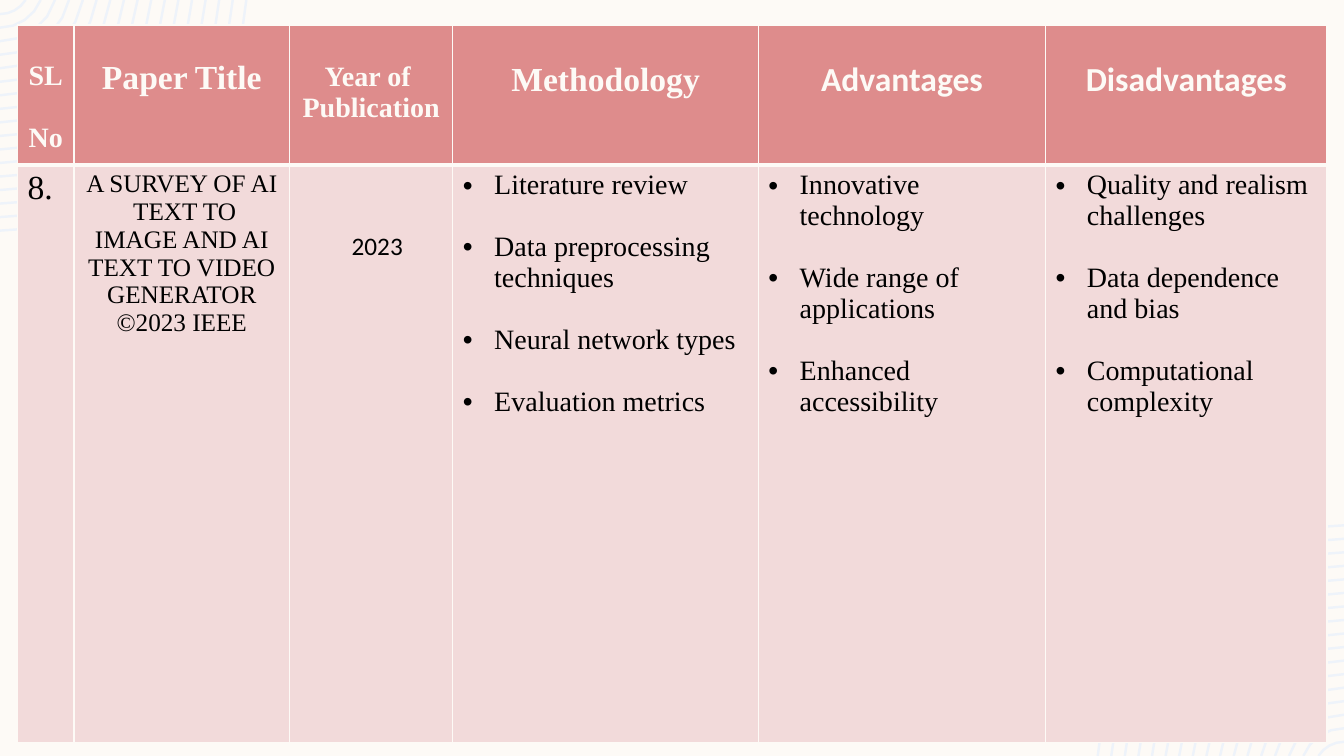
import math
from dataclasses import dataclass

from lxml import etree
from pptx import Presentation
from pptx import util as u
from pptx.dml import color
from pptx.enum import text
from pptx.oxml import ns

CREAM, ROSE, BLUSH, MIST, BLACK = "FDFAF6", "DE8C8C", "F2DADA", "EEF3FA", "000000"
SERIF, SANS = "Times New Roman", "Calibri"
SLIDE_WIDTH, SLIDE_HEIGHT = u.Inches(13.33), u.Inches(7.5)
COLUMN_WIDTHS = [4.2, 16.05, 12.15, 22.73, 21.38, 20.93]
ROW_HEIGHTS = [18.5, 76.4]
RING_COUNT, RING_RADIUS, RING_STEP = 17, 32.64, 1.79
RING_THICKNESS, RING_OFFSET = 0.32, 2.13


@dataclass
class CellText:
    lines: list[str]
    size: int
    font: str = SERIF
    top: float = 0.05
    left: float = 0.1
    gap: int = 0
    centred: bool = True
    bulleted: bool = False


HEADINGS = [
    CellText(["SL", "No"], 20, top=0.35, gap=22),
    CellText(["Paper Title"], 24, top=0.34),
    CellText(["Year of ", "Publication"], 20, top=0.36),
    CellText(["Methodology"], 24, top=0.36),
    CellText(["Advantages"], 24, SANS, top=0.34),
    CellText(["Disadvantages"], 24, SANS, top=0.34),
]
BULLET_LISTS = [
    ["Literature review", "Data preprocessing techniques",
     "Neural network types", "Evaluation metrics"],
    ["Innovative technology", "Wide range of applications", "Enhanced accessibility"],
    ["Quality and realism challenges", "Data dependence and bias",
     "Computational complexity"],
]
PAPER = [
    CellText(["8."], 24, centred=False),
    CellText(["A SURVEY OF AI  TEXT TO IMAGE AND AI TEXT TO VIDEO GENERATOR",
              "©2023 IEEE"], 18),
    CellText(["2023"], 18, SANS, top=0.66, left=0.22),
    *[CellText(lines, 20, gap=22, centred=False, bulleted=True) for lines in BULLET_LISTS],
]


def across(columns: float) -> int:
    return round(SLIDE_WIDTH * columns / 100)


def down(rows: float) -> int:
    return round(SLIDE_HEIGHT * rows / 100)


def paint(fill, hex_colour: str) -> None:
    fill.solid()
    fill.fore_color.rgb = color.RGBColor.from_string(hex_colour)


def arc(radius: float) -> list[tuple[int, int]]:
    steps = 3 + int(radius / 4)
    start = math.asin(RING_OFFSET / radius)
    angles = [start + (math.pi / 2 - start) * step / steps for step in range(steps + 1)]
    return [(down(radius * math.cos(angle)),
             down(radius * math.sin(angle) - RING_OFFSET)) for angle in angles]


def add_corner_rings(slide, opposite: bool) -> None:
    builder = None
    for index in range(RING_COUNT):
        points = arc(RING_RADIUS - index * RING_STEP)
        if opposite:
            points = [(SLIDE_WIDTH - x, SLIDE_HEIGHT - y) for x, y in points]
        if builder is None:
            builder = slide.shapes.build_freeform(*points[0])
        else:
            builder.move_to(*points[0])
        builder.add_line_segments(points[1:], close=False)
    shape = builder.convert_to_shape()
    shape.shadow.inherit = False
    shape.fill.background()
    paint(shape.line.fill, MIST)
    shape.line.width = down(RING_THICKNESS)


def add_borders(cell, bottom_width: float) -> None:
    properties = cell._tc.get_or_add_tcPr()
    widths = {"a:lnL": 1, "a:lnR": 1, "a:lnT": 1, "a:lnB": bottom_width}
    for position, (tag, width) in enumerate(widths.items()):
        line = etree.Element(ns.qn(tag), w=str(u.Pt(width)))
        fill = etree.SubElement(line, ns.qn("a:solidFill"))
        etree.SubElement(fill, ns.qn("a:srgbClr"), val=CREAM)
        properties.insert(position, line)


def add_bullet(paragraph) -> None:
    properties = paragraph._p.get_or_add_pPr()
    indent = u.Inches(0.31)
    properties.set("marL", str(indent))
    properties.set("indent", str(-indent))
    etree.SubElement(properties, ns.qn("a:buFont"), typeface="Arial")
    etree.SubElement(properties, ns.qn("a:buChar"), char="•")


def fill_cell(cell, content: CellText, heading: bool) -> None:
    paint(cell.fill, ROSE if heading else BLUSH)
    add_borders(cell, 3 if heading else 1)
    cell.margin_top, cell.margin_left = u.Inches(content.top), u.Inches(content.left)
    frame = cell.text_frame
    for index, line in enumerate(content.lines):
        paragraph = frame.add_paragraph() if index else frame.paragraphs[0]
        paragraph.alignment = text.PP_ALIGN.CENTER if content.centred else text.PP_ALIGN.LEFT
        if index and content.gap:
            paragraph.space_before = u.Pt(content.gap)
        if content.bulleted:
            add_bullet(paragraph)
        run = paragraph.add_run()
        run.text = line
        run.font.name, run.font.size, run.font.bold = content.font, u.Pt(content.size), heading
        paint(run.font.fill, CREAM if heading else BLACK)


def add_survey_table(slide) -> None:
    table = slide.shapes.add_table(
        len(ROW_HEIGHTS), len(COLUMN_WIDTHS), across(1.3), down(3.3),
        across(sum(COLUMN_WIDTHS)), down(sum(ROW_HEIGHTS))).table
    for column, width in zip(table.columns, COLUMN_WIDTHS):
        column.width = across(width)
    for row, height, contents in zip(table.rows, ROW_HEIGHTS, [HEADINGS, PAPER]):
        row.height = down(height)
        for cell, content in zip(row.cells, contents):
            fill_cell(cell, content, contents is HEADINGS)


def main() -> None:
    presentation = Presentation()
    presentation.slide_width, presentation.slide_height = SLIDE_WIDTH, SLIDE_HEIGHT
    slide = presentation.slides.add_slide(presentation.slide_layouts[6])
    paint(slide.background.fill, CREAM)
    for opposite in (False, True):
        add_corner_rings(slide, opposite)
    add_survey_table(slide)
    presentation.save("out.pptx")


if __name__ == "__main__":
    main()
